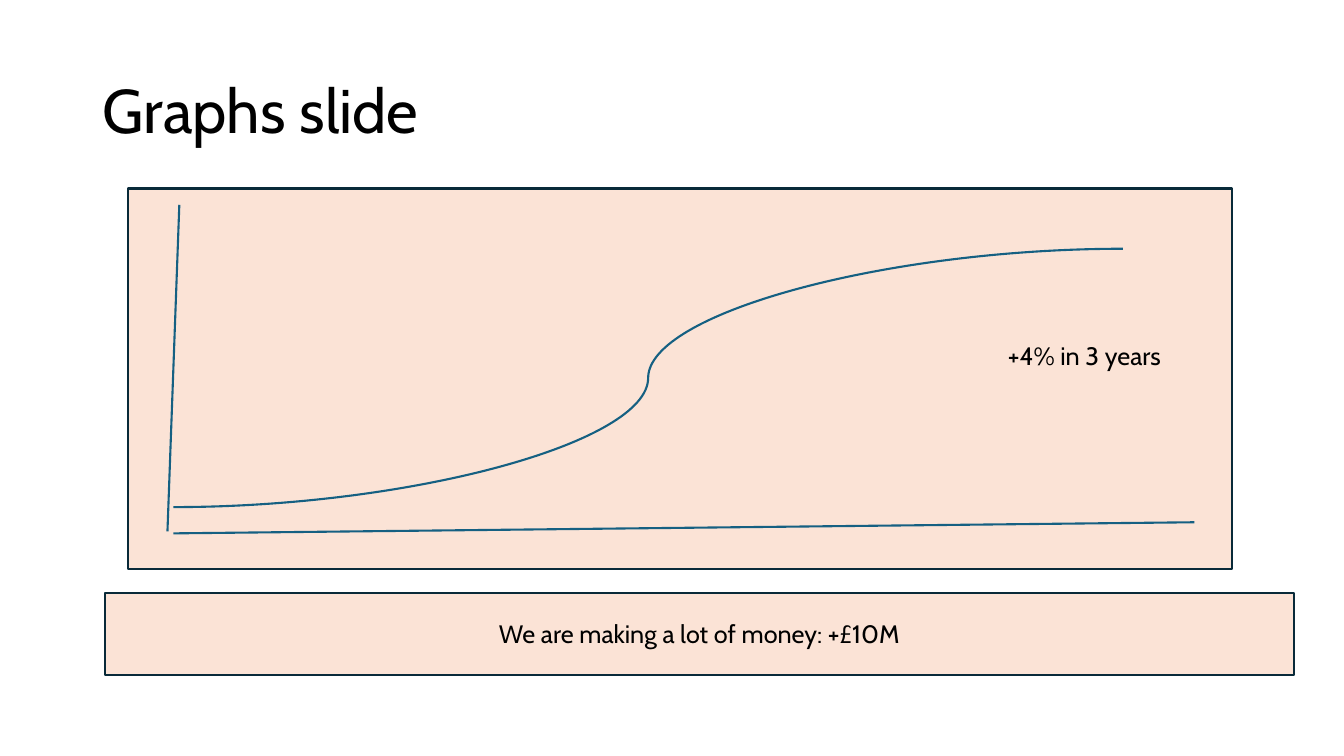
from lxml import etree
from pptx import Presentation
from pptx import util as u
from pptx.dml.color import RGBColor
from pptx.enum import shapes, text
from pptx.oxml.ns import qn

theme = {
    "font": "Cabin",
    "ink": RGBColor.from_string("000000"),
    "fill": RGBColor.from_string("FBE3D6"),
    "edge": RGBColor.from_string("092A39"),
    "line": RGBColor.from_string("156082"),
    "title": u.Pt(44),
    "body": u.Pt(18),
    "width": u.Pt(1.5),
}

deck = Presentation()
deck.slide_width, deck.slide_height = u.Cm(33.87), u.Cm(19.05)
slide = deck.slides.add_slide(deck.slide_layouts[6])


def write(shape, words, size, align, anchor):
    frame = shape.text_frame
    frame.word_wrap = True
    frame.vertical_anchor = anchor
    para = frame.paragraphs[0]
    para.alignment = align
    run = para.add_run()
    run.text = words
    run.font.name = theme["font"]
    run.font.size = theme[size]
    run.font.color.rgb = theme["ink"]
    return para


def block(*area):
    box = slide.shapes.add_shape(shapes.MSO_SHAPE.RECTANGLE, *map(u.Cm, area))
    box.shadow.inherit = False
    box.fill.solid()
    box.fill.fore_color.rgb = theme["fill"]
    box.line.color.rgb = theme["edge"]
    box.line.width = theme["width"]
    return box


left, center = text.PP_ALIGN.LEFT, text.PP_ALIGN.CENTER
top, middle = text.MSO_ANCHOR.TOP, text.MSO_ANCHOR.MIDDLE

# Title
title = slide.shapes.add_textbox(u.Cm(2.34), u.Cm(1.02), u.Cm(29.21), u.Cm(3.68))
write(title, "Graphs slide", "title", left, middle).line_spacing = 0.9

# Message banner and graph panel
banner = block(2.64, 14.94, 29.97, 2.06)
write(banner, "We are making a lot of money: +£10M", "body", center, middle)
panel = block(3.23, 4.75, 27.81, 9.58)

# Axes and growth curve
straight, curve = shapes.MSO_CONNECTOR.STRAIGHT, shapes.MSO_CONNECTOR.CURVE
for kind, *ends in [
    (straight, 4.52, 5.16, 4.22, 13.39),
    (straight, 4.37, 13.44, 30.1, 13.16),
    (curve, 4.37, 12.78, 28.3, 6.27),
]:
    stroke = slide.shapes.add_connector(kind, *map(u.Cm, ends))
    stroke.line.color.rgb = theme["line"]
    stroke.line.width = theme["width"]
    etree.SubElement(stroke._element.spPr, qn("a:effectLst"))

# Growth label
label = slide.shapes.add_textbox(u.Cm(25.15), u.Cm(8.46), u.Cm(4.72), u.Cm(1.02))
write(label, "+4% in 3 years", "body", left, top)
label.text_frame.auto_size = text.MSO_AUTO_SIZE.SHAPE_TO_FIT_TEXT

deck.save("out.pptx")
